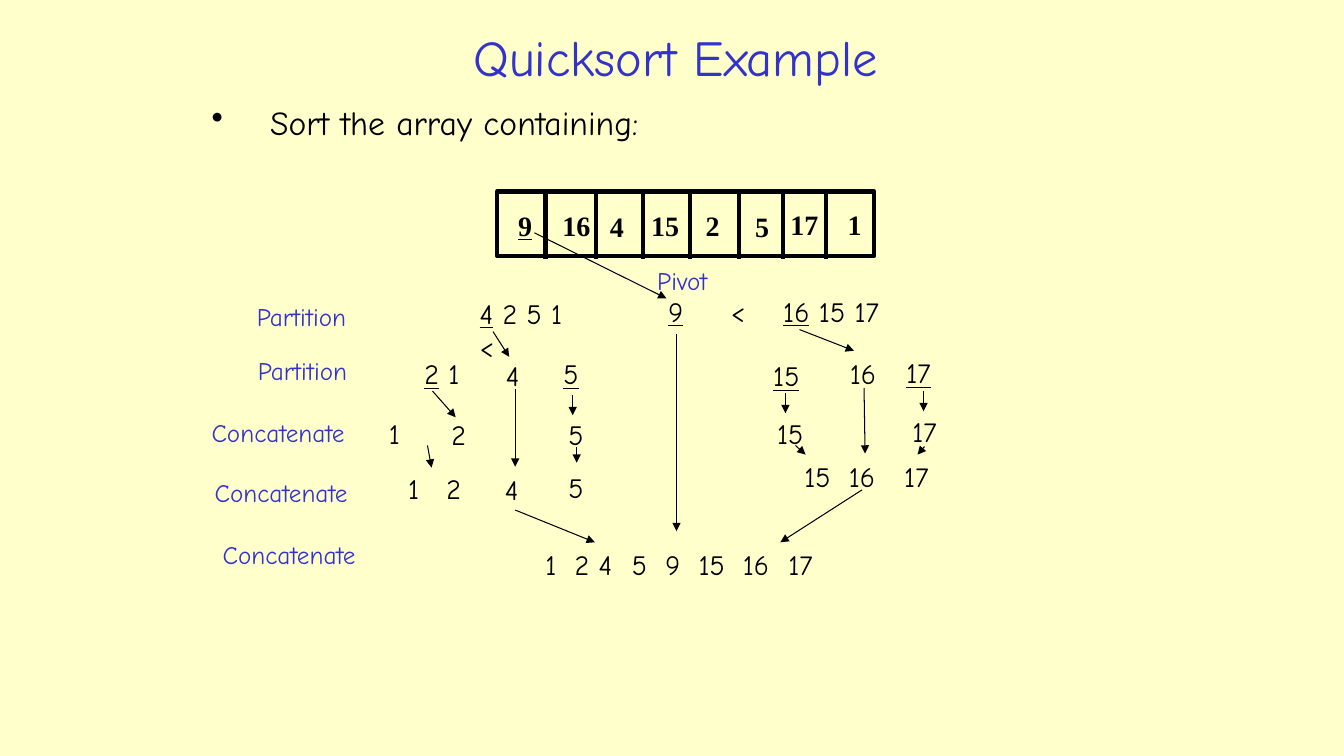
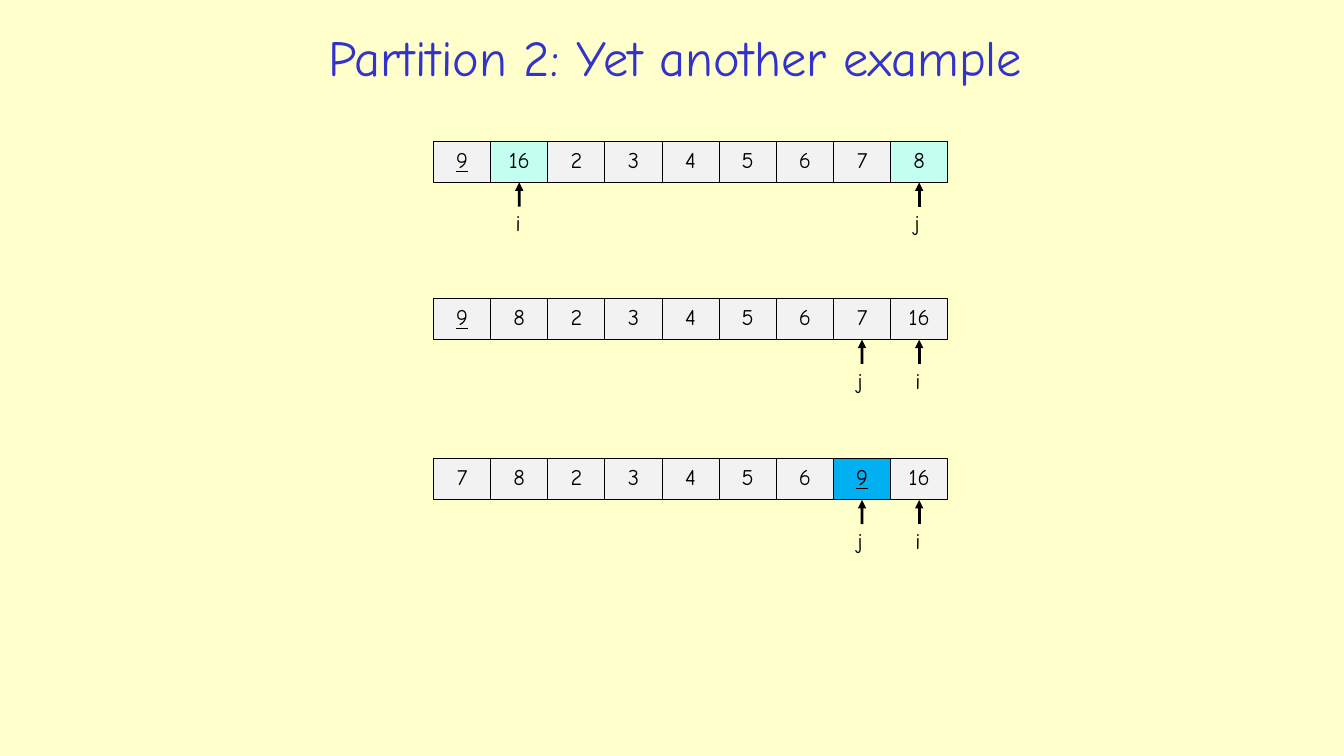
from pptx import Presentation
from pptx import util as u
from pptx.dml.color import RGBColor
from pptx.enum import shapes, text
from pptx.oxml.ns import qn
from lxml import etree

CREAM = RGBColor(0xFF, 0xFF, 0xCC)
INDIGO = RGBColor(0x33, 0x33, 0xCC)
BLACK = RGBColor(0, 0, 0)
GRAY = RGBColor(0xF2, 0xF2, 0xF2)
MINT = RGBColor(0xC2, 0xFF, 0xF0)
BLUE = RGBColor(0x00, 0xB0, 0xF0)

# Text styles: font, size, colour
HAND = "Comic Neue"
TITLE = {"name": HAND, "size": u.Pt(36), "color": INDIGO}
BULLET = {"name": HAND, "size": u.Pt(24), "color": BLACK}
LABEL = {"name": HAND, "size": u.Pt(18), "color": INDIGO}
NUMBER = {"name": HAND, "size": u.Pt(20), "color": BLACK}
CELL = {"name": HAND, "size": u.Pt(16), "color": BLACK}
ENTRY = {"name": "Times New Roman", "size": u.Pt(20), "color": BLACK,
         "bold": True}

# Content of the sorting slide; underscores enclose underlined text
ARRAY_FRAME = (4.93, 1.9, 3.74, 0.64)
DIVIDERS = [5.41, 5.91, 6.38, 6.84, 7.33, 7.77, 8.19]
ENTRIES = [("_9_", 5.04, 2.02), ("16", 5.48, 2.02), ("4", 5.95, 2.03),
           ("15", 6.36, 2.02), ("2", 6.9, 2.02), ("5", 7.39, 2.03),
           ("17", 7.74, 2.01), ("1", 8.31, 2.01)]
STEPS = [("Partition", 2.45, 2.94, 1.22), ("Partition", 2.46, 3.48, 1.22),
         ("Concatenate", 2, 4.09, 1.64), ("Concatenate", 2.03, 4.69, 1.64),
         ("Concatenate", 2.11, 5.3, 1.64), ("Pivot", 6.42, 2.58, 0.77)]
NUMBERS = [
    ("_9_", 6.53, 2.87, 0.37),
    ("_2_ 1", 4.11, 3.49, 0.58), ("4", 4.92, 3.51, 0.37),
    ("_5_", 5.49, 3.49, 0.37), ("_15_", 7.57, 3.51, 0.52),
    ("16", 8.33, 3.49, 0.52), ("_17_", 8.89, 3.48, 0.52),
    ("1", 3.76, 4.08, 0.33), ("2", 4.38, 4.09, 0.37),
    ("5", 5.54, 4.09, 0.37), ("15", 7.61, 4.08, 0.5),
    ("17", 8.95, 4.06, 0.5),
    ("4", 4.91, 4.64, 0.37), ("5", 5.54, 4.62, 0.33),
]
# Runs of several numbers, with the tab stops that space them
SEQUENCES = [
    ("_4_ 2 5 1\n<", 4.66, 2.89, 1.3, []),
    ("<\t_16_ 15 17", 7.15, 2.87, 2.17, [0.52]),
    ("1\t2", 3.95, 4.63, 0.79, [0.38]),
    ("15\t16\t17", 7.88, 4.51, 1.6, [0.44, 0.99]),
    ("1\t2\t4\t5\t9\t15\t16\t17", 5.31, 5.38, 2.98,
     [0.29, 0.53, 0.86, 1.19, 1.52, 1.96, 2.41]),
]
ARROWS = [
    (5.3, 2.31, 6.61, 2.96), (4.89, 3.29, 5.05, 3.54),
    (7.93, 3.27, 8.47, 3.48), (4.29, 3.88, 4.52, 4.14),
    (5.68, 3.92, 5.68, 4.12), (7.79, 3.9, 7.79, 4.1),
    (9.16, 3.88, 9.16, 4.08), (4.24, 4.42, 4.28, 4.64),
    (5.11, 3.86, 5.11, 4.63), (5.72, 4.43, 5.72, 4.59),
    (5.11, 5.06, 5.9, 5.38), (7.89, 4.42, 7.99, 4.51),
    (8.57, 3.85, 8.58, 4.5), (9.17, 4.43, 9.1, 4.51),
    (6.71, 3.31, 6.71, 5.27), (8.55, 4.86, 7.74, 5.38),
]

# Content of the partition slide: top, values, coloured cells, pointers
ROWS = [
    (1.4, "_9_ 16 2 3 4 5 6 7 8", {1: MINT, 8: MINT}, {"i": 1, "j": 8}),
    (2.96, "_9_ 8 2 3 4 5 6 7 16", {}, {"i": 8, "j": 7}),
    (4.55, "7 8 2 3 4 5 6 _9_ 16", {7: BLUE}, {"i": 8, "j": 7}),
]
ROW_LEFT, ROW_WIDTH, CELL_HEIGHT = 4.3, 5.1, 0.41
POINTER_LENGTH = 0.24
POINTER_LABELS = {"i": 0.27, "j": 0.29}


def inches(*lengths):
    return [u.Inches(length) for length in lengths]


def write(para, content, style):
    """Add runs, underlining every piece enclosed in underscores."""
    for index, piece in enumerate(content.split("_")):
        if piece:
            span = para.add_run()
            span.text = piece
            for key, value in style.items():
                if key == "color":
                    span.font.color.rgb = value
                else:
                    setattr(span.font, key, value)
            if index % 2:
                span.font.underline = True


def add_text(page, content, at, style, wrap=False, tabs=()):
    box = page.shapes.add_textbox(*inches(*at))
    frame = box.text_frame
    frame.word_wrap = wrap
    for index, line in enumerate(content.split("\n")):
        para = frame.add_paragraph() if index else frame.paragraphs[0]
        write(para, line, style)
        if tabs:
            stops = etree.SubElement(para._p.get_or_add_pPr(), qn("a:tabLst"))
            for stop in tabs:
                etree.SubElement(stops, qn("a:tab"),
                                 pos=str(u.Inches(stop)), algn="l")
    return box


def add_rect(page, at, width, fill=None):
    box = page.shapes.add_shape(shapes.MSO_SHAPE.RECTANGLE, *inches(*at))
    box.shadow.inherit = False
    if fill is None:
        box.fill.background()
    else:
        box.fill.solid()
        box.fill.fore_color.rgb = fill
    box.line.color.rgb = BLACK
    box.line.width = u.Pt(width)
    return box


def add_line(page, ends, width, arrow=True):
    line = page.shapes.add_connector(shapes.MSO_CONNECTOR.STRAIGHT,
                                     *inches(*ends))
    line.line.color.rgb = BLACK
    line.line.width = u.Pt(width)
    props = line.element.spPr
    if arrow:
        etree.SubElement(props.find(qn("a:ln")), qn("a:tailEnd"),
                         type="triangle")
    etree.SubElement(props, qn("a:effectLst"))
    return line


def add_page(deck, heading):
    page = deck.slides.add_slide(deck.slide_layouts[5])
    title = page.shapes.title
    title.left, title.top, title.width, title.height = inches(
        1.93, 0.18, 9.54, 0.76)
    frame = title.text_frame
    for key, value in {"vertical_anchor": text.MSO_ANCHOR.MIDDLE,
                       "auto_size": text.MSO_AUTO_SIZE.NONE,
                       "word_wrap": True}.items():
        setattr(frame, key, value)
    frame.paragraphs[0].alignment = text.PP_ALIGN.CENTER
    write(frame.paragraphs[0], heading, TITLE)
    return page


def build_sorting(deck):
    page = add_page(deck, "Quicksort Example")

    # Bulleted introduction
    intro = add_text(page, "Sort the array containing:",
                     (2, 0.96, 9.31, 0.44), BULLET, wrap=True)
    para = intro.text_frame.paragraphs[0]
    para.space_before = u.Pt(4.8)
    props = para._p.get_or_add_pPr()
    props.set("marL", str(u.Inches(0.58)))
    props.set("indent", str(u.Inches(-0.58)))
    etree.SubElement(props, qn("a:buChar"), char="•")

    # Array to sort
    add_rect(page, ARRAY_FRAME, 3)
    for x in DIVIDERS:
        add_line(page, (x, 1.92, x, 2.57), 3, arrow=False)
    for value, x, y in ENTRIES:
        width = 0.48 if len(value.strip("_")) == 2 else 0.34
        add_text(page, value, (x, y, width, 0.43), ENTRY)

    # Step names, numbers and arrows of the recursion
    for name, x, y, width in STEPS:
        add_text(page, name, (x, y, width, 0.4), LABEL)
    for value, x, y, width in NUMBERS:
        add_text(page, value, (x, y, width, 0.43), NUMBER)
    for values, x, y, width, tabs in SEQUENCES:
        add_text(page, values, (x, y, width, 0.43), NUMBER, True, tabs)
    for ends in ARROWS:
        add_line(page, ends, 0.75)


def build_partition(deck):
    page = add_page(deck, "Partition 2: Yet another example")
    for top, row, fills, pointers in ROWS:
        values = row.split()
        step = ROW_WIDTH / len(values)

        # Array cells
        cells = []
        for index, value in enumerate(values):
            cell = add_rect(page, (ROW_LEFT + index * step, top, step,
                                   CELL_HEIGHT), 0.75, fills.get(index, GRAY))
            cell.text_frame.vertical_anchor = text.MSO_ANCHOR.TOP
            para = cell.text_frame.paragraphs[0]
            para.alignment = text.PP_ALIGN.CENTER
            write(para, value, CELL)
            cells.append(cell)

        # Index pointers below their cells
        bottom = top + CELL_HEIGHT
        for name, index in pointers.items():
            center = ROW_LEFT + (index + 0.5) * step
            arrow = add_line(page, (center, bottom + POINTER_LENGTH,
                                    center, bottom), 2)
            arrow.end_connect(cells[index], 2)
            width = POINTER_LABELS[name]
            add_text(page, name, (center - width / 2, bottom + 0.22,
                                  width, 0.37), CELL)


def main():
    deck = Presentation()
    deck.slide_width, deck.slide_height = inches(13.33, 7.5)
    background = deck.slide_master.background.fill
    background.solid()
    background.fore_color.rgb = CREAM
    build_sorting(deck)
    build_partition(deck)
    deck.save("out.pptx")


if __name__ == "__main__":
    main()
